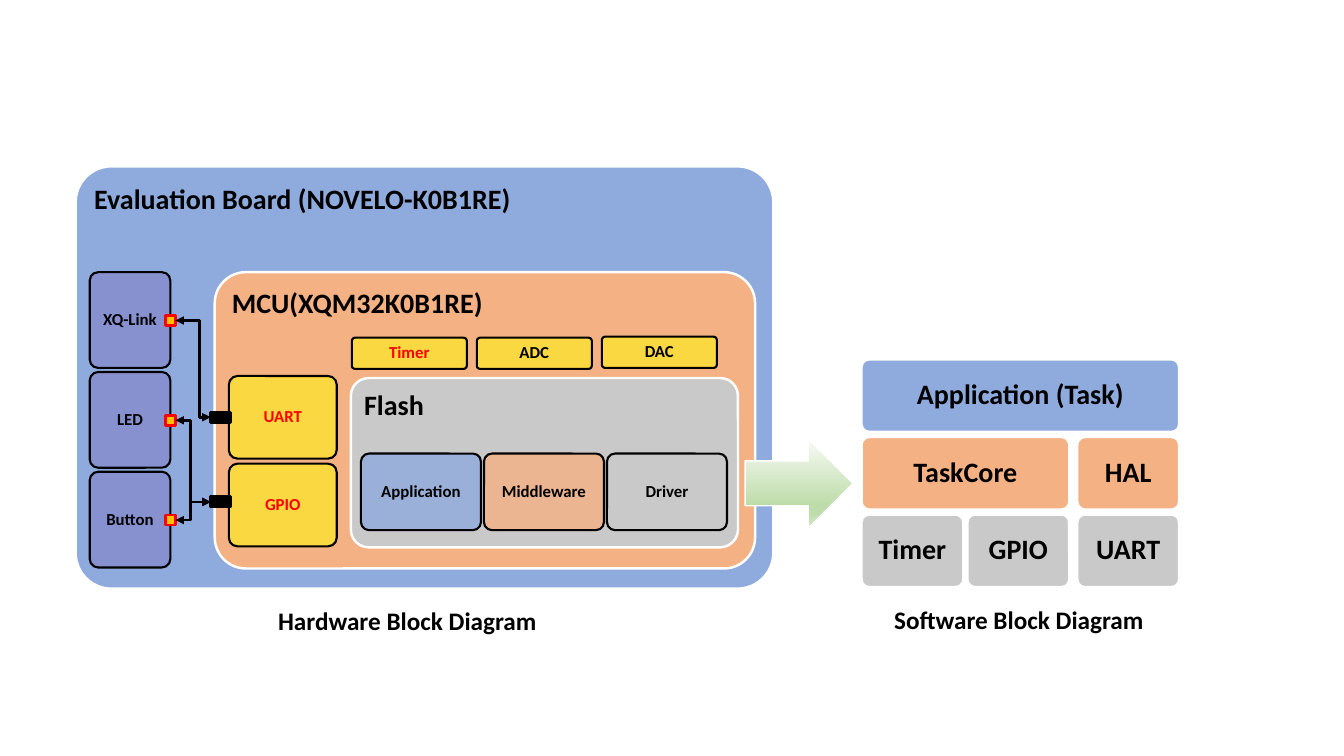
import copy

import pptx
import pptx.dml.color
import pptx.enum.dml
import pptx.enum.shapes
import pptx.enum.text
import pptx.oxml
import pptx.oxml.ns
import pptx.util

PX = 9144
SHAPE = pptx.enum.shapes.MSO_SHAPE
ALIGN = pptx.enum.text.PP_ALIGN
ANCHOR = pptx.enum.text.MSO_ANCHOR
COLORS = {
    "black": "000000", "white": "FFFFFF", "red": "FF0000",
    "blue": "8FAADC", "orange": "F4B183", "gray": "C9C9C9",
    "purple": "7030A0", "yellow": "FFFF00", "amber": "FFC000",
    "mist": "F8FBF6", "green": "BEDCAA", "pale": "D4E8C6",
}


def rgb(name):
    return pptx.dml.color.RGBColor.from_string(COLORS[name])


def add_xml(parent, tag, **attributes):
    child = pptx.oxml.parse_xml(f"<a:{tag} {pptx.oxml.ns.nsdecls('a')}/>")
    for key, value in attributes.items():
        child.set(key, str(value))
    parent.append(child)


def write_text(frame, text, font="Calibri", size=12, color="black", align=ALIGN.CENTER, spacing=None):
    para = frame.paragraphs[0]
    para.alignment = align
    para.line_spacing = spacing
    span = para.add_run()
    span.text = text
    span.font.name = font
    span.font.size = pptx.util.Pt(size)
    span.font.bold = True
    span.font.color.rgb = rgb(color)


class Diagram:
    def __init__(self, page):
        self.page = page

    def shape(self, kind, left, top, width, height, fill, line="black", weight=1.5, opacity=100):
        box = self.page.shapes.add_shape(kind, left * PX, top * PX, width * PX, height * PX)
        box.shadow.inherit = False
        box.line.color.rgb = rgb(line)
        box.line.width = pptx.util.Pt(weight)
        box.fill.solid()
        box.fill.fore_color.rgb = rgb(fill)
        if opacity < 100:
            color = box._element.spPr.find(".//" + pptx.oxml.ns.qn("a:srgbClr"))
            add_xml(color, "alpha", val=opacity * 1000)
        return box

    def block(self, text, left, top, width, height, fill, corner=0.105, inset=5,
              anchor=ANCHOR.MIDDLE, align=ALIGN.CENTER, size=12, color="black", **style):
        box = self.shape(SHAPE.ROUNDED_RECTANGLE, left, top, width, height, fill, **style)
        box.adjustments[0] = corner
        frame = box.text_frame
        frame.word_wrap = True
        frame.vertical_anchor = anchor
        frame.margin_left = frame.margin_right = inset * PX
        frame.margin_top = frame.margin_bottom = inset * PX
        write_text(frame, text, size=size, color=color, align=align, spacing=0.9)

    def panel(self, text, left, top, width, height, fill, corner=0.105):
        self.block(text, left, top, width, height, fill, corner=corner, inset=8, size=20,
                   anchor=ANCHOR.TOP, align=ALIGN.LEFT, line="white", weight=1.75)

    def caption(self, text, left, top, width, height):
        box = self.page.shapes.add_textbox(left * PX, top * PX, width * PX, height * PX)
        box.text_frame.word_wrap = False
        box.text_frame.auto_size = pptx.enum.text.MSO_AUTO_SIZE.SHAPE_TO_FIT_TEXT
        write_text(box.text_frame, text, size=18, align=ALIGN.LEFT)

    def wire(self, start, end, bend):
        points = [value * PX for value in start + end]
        wire = self.page.shapes.add_connector(pptx.enum.shapes.MSO_CONNECTOR.ELBOW, *points)
        wire.line.color.rgb = rgb("black")
        wire.line.width = pptx.util.Pt(2)
        ratio = round((bend - start[0]) / (end[0] - start[0]) * 100000)
        properties = wire._element.spPr
        guides = properties.find(".//" + pptx.oxml.ns.qn("a:avLst"))
        add_xml(guides, "gd", name="adj1", fmla=f"val {ratio}")
        outline = properties.find(pptx.oxml.ns.qn("a:ln"))
        add_xml(outline, "headEnd", type="triangle")
        add_xml(outline, "tailEnd", type="triangle")
        add_xml(properties, "effectLst")

    def gradient_arrow(self, left, top, width, height, stops):
        arrow = self.shape(SHAPE.RIGHT_ARROW, left, top, width, height, "green", line="white", weight=1)
        arrow.fill.gradient()
        arrow.fill.gradient_angle = 270
        stop_list = arrow._element.spPr.find(".//" + pptx.oxml.ns.qn("a:gsLst"))
        while len(stop_list) < len(stops):
            stop_list.append(copy.deepcopy(stop_list[-1]))
        for stop, (position, color) in zip(arrow.fill.gradient_stops, stops):
            stop.position = position
            stop.color.rgb = rgb(color)


def draw_hardware(diagram):
    diagram.panel("Evaluation Board (NOVELO-K0B1RE)", 75, 165, 692, 419, "blue", corner=0.085)
    for row, name in enumerate(["XQ-Link", "LED", "Button"]):
        diagram.block(name, 89, 270 + 99 * row, 80, 95, "purple", opacity=20)
    diagram.panel("MCU(XQM32K0B1RE)", 213, 270, 536, 294, "orange")
    for row, name in enumerate(["UART", "GPIO"]):
        diagram.block(name, 227, 373 + 87 * row, 107, 82, "yellow", opacity=50, color="red")
    diagram.panel("Flash", 348, 375, 384, 168, "gray")
    layers = [("Application", "blue"), ("Middleware", "orange"), ("Driver", "gray")]
    for column, (name, fill) in enumerate(layers):
        diagram.block(name, 358 + 122 * column, 450, 119, 76, fill, opacity=80)
    for column, (name, top, color) in enumerate([("Timer", 335, "red"), ("ADC", 335, "black"), ("DAC", 334, "black")]):
        diagram.block(name, 349 + 124 * column, top, 114, 31, "yellow", opacity=50, color=color)


def draw_wiring(diagram):
    uart, gpio = (209, 414), (209, 498)
    link, led, button = [(174, 318 + 99 * row) for row in range(3)]
    for left, middle in (uart, gpio):
        diagram.shape(SHAPE.RECTANGLE, left, middle - 5, 20, 10, "black", weight=2)
    for right, middle in (link, led, button):
        diagram.shape(SHAPE.RECTANGLE, right - 10, middle - 5, 10, 10, "amber", line="red", weight=2)
    diagram.wire(gpio, led, 189)
    diagram.wire(button, gpio, 189)
    diagram.wire(uart, link, 198)


def draw_software(diagram):
    blocks = [
        ("Application (Task)", 855, 0, 314, "blue"),
        ("TaskCore", 855, 1, 205, "orange"),
        ("HAL", 1069, 1, 100, "orange"),
        ("Timer", 855, 2, 100, "gray"),
        ("GPIO", 960, 2, 100, "gray"),
        ("UART", 1069, 2, 100, "gray"),
    ]
    for name, left, row, width, fill in blocks:
        diagram.block(name, left, 357 + 77 * row, width, 71, fill, corner=0.1, inset=8,
                      size=20, line="white", weight=1)


def main():
    deck = pptx.Presentation()
    deck.slide_width = 1333 * PX
    deck.slide_height = 750 * PX
    diagram = Diagram(deck.slides.add_slide(deck.slide_layouts[6]))
    draw_hardware(diagram)
    draw_wiring(diagram)
    diagram.caption("Hardware Block Diagram", 266, 596, 279, 40)
    draw_software(diagram)
    diagram.caption("Software Block Diagram", 877, 595, 270, 40)
    diagram.gradient_arrow(739, 435, 107, 89,
                           [(0, "mist"), (0.74, "green"), (0.83, "green"), (1, "pale")])
    deck.save("out.pptx")


if __name__ == "__main__":
    main()
